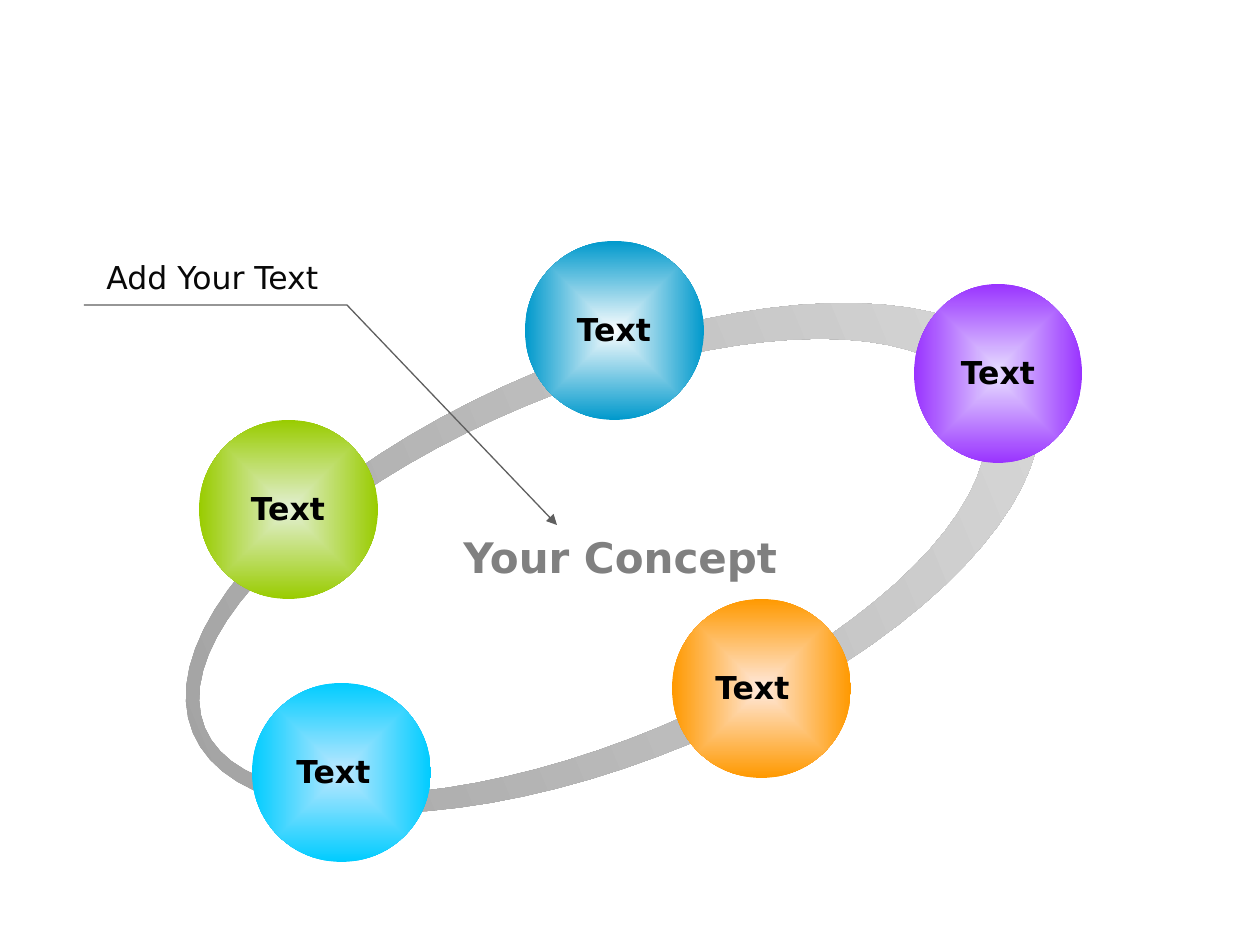
import math
from dataclasses import dataclass

import pptx
import pptx.dml.color
import pptx.enum.shapes
import pptx.enum.text
import pptx.oxml
import pptx.oxml.ns
import pptx.util

EMU_PER_PX = 914400 / 126
A_NS = pptx.oxml.ns.nsdecls("a")
ALIGN = pptx.enum.text.PP_ALIGN


@dataclass(frozen=True)
class Theme:
    font: str = "DejaVu Sans"
    concept: str = "808080"
    caption: str = "080808"
    label: str = "000000"
    pointer: str = "5F5F5F"
    ring: tuple = ("9D9D9D", "DDDDDD")
    concept_size: int = 24
    body_size: int = 18
    pointer_width: float = 0.75


THEME = Theme()

# Spheres: left, top, width, centre colour, edge colour,
# then label left, label width, and whether the label is centred
SPHERE_HEIGHT = 179
LABEL_DROP = 63
SPHERES = [
    (199, 420, 179, "E4F0D6", "99CC00", 220, 136, True),
    (525, 241, 179, "FBFDFE", "0099CC", 546, 136, True),
    (914, 284, 168, "E4D7FF", "9933FF", 934, 128, True),
    (672, 599, 179, "FFE9DE", "FF9900", 703, 103, False),
    (252, 683, 179, "BFE8FF", "00CCFF", 284, 103, False),
]


def px(length):
    return pptx.util.Emu(round(length * EMU_PER_PX))


def rgb(value):
    return pptx.dml.color.RGBColor.from_string(value)


def apply_format(target, values):
    for name, value in values.items():
        setattr(target, name, value)


def fill_gradient(shape, colors, radial=False):
    shape.fill.gradient()
    shape.fill.gradient_angle = 0
    for stop, color, position in zip(shape.fill.gradient_stops, colors, (0, 1)):
        stop.color.rgb = rgb(color)
        stop.position = position
    if radial:
        linear = shape._element.spPr.find(".//" + pptx.oxml.ns.qn("a:lin"))
        linear.getparent().replace(linear, pptx.oxml.parse_xml(
            f'<a:path {A_NS} path="shape">'
            '<a:fillToRect l="50000" t="50000" r="50000" b="50000"/></a:path>'))
    shape.line.fill.background()
    shape.shadow.inherit = False


def ellipse_points(center_x, center_y, radius_x, radius_y, steps=80):
    """Points of an ellipse, from its top counter-clockwise."""
    angles = [2 * math.pi * step / steps for step in range(steps)]
    return [(px(center_x - radius_x * math.sin(angle)),
             px(center_y - radius_y * math.cos(angle))) for angle in angles]


def add_ring(slide):
    outer = ellipse_points(613, 558, 455, 201)
    inner = ellipse_points(591, 558, 420, 174)[::-1]
    builder = slide.shapes.build_freeform(*outer[0])
    builder.add_line_segments(outer[1:], close=True)
    builder.move_to(*inner[0])
    builder.add_line_segments(inner[1:], close=True)
    ring = builder.convert_to_shape()
    ring.rotation = 337.4
    fill_gradient(ring, THEME.ring)


def add_text(slide, text, box, size, color, bold=False, centered=False):
    frame = slide.shapes.add_textbox(*map(px, box)).text_frame
    apply_format(frame, {
        "word_wrap": centered,
        "auto_size": pptx.enum.text.MSO_AUTO_SIZE.SHAPE_TO_FIT_TEXT,
    })
    paragraph = frame.paragraphs[0]
    paragraph.alignment = ALIGN.CENTER if centered else ALIGN.LEFT
    run = paragraph.add_run()
    run.text = text
    apply_format(run.font, {
        "name": THEME.font, "size": pptx.util.Pt(size), "bold": bold})
    run.font.color.rgb = rgb(color)


def add_pointer(slide, points):
    start, *rest = [(px(x), px(y)) for x, y in points]
    builder = slide.shapes.build_freeform(*start)
    builder.add_line_segments(rest, close=False)
    pointer = builder.convert_to_shape()
    pointer.fill.background()
    pointer.shadow.inherit = False
    pointer.line.color.rgb = rgb(THEME.pointer)
    pointer.line.width = pptx.util.Pt(THEME.pointer_width)
    pointer.line._get_or_add_ln().append(
        pptx.oxml.parse_xml(f'<a:tailEnd {A_NS} type="triangle"/>'))


def add_sphere(slide, left, top, width, center, edge,
               label_left, label_width, centered):
    sphere = slide.shapes.add_shape(
        pptx.enum.shapes.MSO_SHAPE.OVAL,
        *map(px, (left, top, width, SPHERE_HEIGHT)))
    fill_gradient(sphere, (center, edge), radial=True)
    add_text(slide, "Text", (label_left, top + LABEL_DROP, label_width, 50),
             THEME.body_size, THEME.label, bold=True, centered=centered)


def main():
    presentation = pptx.Presentation()
    apply_format(presentation, {"slide_width": px(1260), "slide_height": px(945)})
    slide = presentation.slides.add_slide(presentation.slide_layouts[6])

    # Orbit and central concept
    add_ring(slide)
    add_text(slide, "Your Concept", (451, 525, 340, 63),
             THEME.concept_size, THEME.concept, bold=True)

    # Caption with its pointer
    add_text(slide, "Add Your Text", (94, 252, 249, 50),
             THEME.body_size, THEME.caption)
    add_pointer(slide, [(84, 305), (347, 305), (557, 525)])

    # Spheres on the orbit
    for sphere in SPHERES:
        add_sphere(slide, *sphere)

    presentation.save("out.pptx")


if __name__ == "__main__":
    main()
